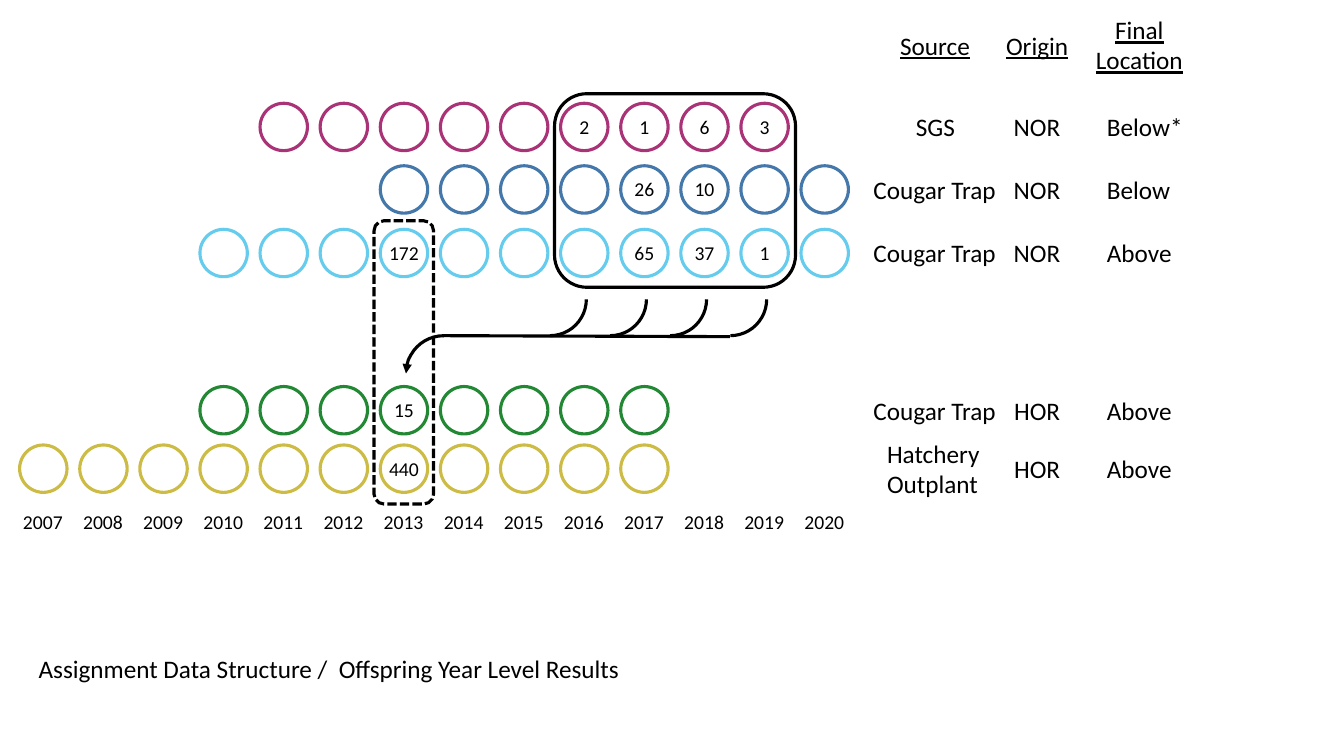
from lxml import etree
from pptx import Presentation, util as u
from pptx.dml.color import RGBColor
from pptx.enum import dml, shapes, text
from pptx.oxml.ns import qn

BLACK = RGBColor(0x00, 0x00, 0x00)
WHITE = RGBColor(0xFF, 0xFF, 0xFF)
PURPLE = RGBColor(0xAA, 0x33, 0x77)
BLUE = RGBColor(0x44, 0x77, 0xAA)
CYAN = RGBColor(0x66, 0xCC, 0xEE)
GREEN = RGBColor(0x22, 0x88, 0x33)
YELLOW = RGBColor(0xCC, 0xBB, 0x44)

# Content: row centre, colour, fill, years, counts by year, labels
FIRST_YEAR, LAST_YEAR = 2007, 2020
ROWS = [
    (1.26, PURPLE, None, (2011, 2019), {2016: "2", 2017: "1", 2018: "6", 2019: "3"},
     ("SGS", "NOR", "Below*")),
    (1.88, BLUE, WHITE, (2013, 2020), {2017: "26", 2018: "10"},
     ("Cougar Trap", "NOR", "Below")),
    (2.51, CYAN, WHITE, (2010, 2020), {2013: "172", 2017: "65", 2018: "37", 2019: "1"},
     ("Cougar Trap", "NOR", "Above")),
    (4.07, GREEN, WHITE, (2010, 2017), {2013: "15"},
     ("Cougar Trap", "HOR", "Above")),
    (4.65, YELLOW, None, (2007, 2017), {2013: "440"},
     ("Hatchery Outplant", "HOR", "Above")),
]
HEADERS = [("Source", 9.28, 0.9), ("Origin", 10.29, 0.82), ("Final\nLocation", 11.3, 1.07)]
LABEL_WIDTHS = {"SGS": 0.59, "Cougar Trap": 1.43, "Hatchery Outplant": 1.16, "NOR": 0.67,
                "HOR": 0.66, "Below*": 0.96, "Below": 0.84, "Above": 0.85}
COUNT_WIDTHS = {1: 0.3, 2: 0.4, 3: 0.5}
CAPTION = "Assignment Data Structure /  Offspring Year Level Results"

# Grid, in inches
FIRST_CENTER, LAST_CENTER = 0.43, 8.18
PITCH = (LAST_CENTER - FIRST_CENTER) / (LAST_YEAR - FIRST_YEAR)
CIRCLE = 0.47
HEADER_Y, YEAR_Y, CAPTION_Y = 0.45, 5.18, 6.63
LOCATION_LEFT = 10.88
ARC = 0.72
JOIN_Y = 3.33


def year_x(year):
    return FIRST_CENTER + (year - FIRST_YEAR) * PITCH


def box(x, y, width, height):
    return [u.Inches(value) for value in (x, y, width, height)]


def add_text(slide, content, x, y, width, size=18, underline=False, wrap=False,
             align=text.PP_ALIGN.LEFT):
    """Place text with its box centred on x, y."""
    two_lines = wrap or "\n" in content
    height = 0.71 if two_lines else 0.4 if size == 18 else 0.34
    shape = slide.shapes.add_textbox(*box(x - width / 2, y - height / 2, width, height))
    frame = shape.text_frame
    frame.word_wrap = wrap
    frame.auto_size = text.MSO_AUTO_SIZE.SHAPE_TO_FIT_TEXT
    frame.text = content
    for paragraph in frame.paragraphs:
        paragraph.alignment = align
        for run in paragraph.runs:
            run.font.name = "Calibri"
            run.font.size = u.Pt(size)
            run.font.color.rgb = BLACK
            run.font.underline = underline


def add_outline(parent, kind, x, y, width, height, color=BLACK, fill=None, rotation=0):
    shape = parent.shapes.add_shape(kind, *box(x, y, width, height))
    shape.shadow.inherit = False
    if fill is None:
        shape.fill.background()
    else:
        shape.fill.solid()
        shape.fill.fore_color.rgb = fill
    shape.line.color.rgb = color
    shape.line.width = u.Pt(2.25)
    shape.rotation = rotation
    return shape


def add_rows(slide):
    for y, color, fill, (first, last), counts, labels in ROWS:
        for year in range(first, last + 1):
            add_outline(slide, shapes.MSO_SHAPE.OVAL, year_x(year) - CIRCLE / 2,
                        y - CIRCLE / 2, CIRCLE, CIRCLE, color, fill)
        for year, count in counts.items():
            add_text(slide, count, year_x(year), y, COUNT_WIDTHS[len(count)], size=14,
                     align=text.PP_ALIGN.CENTER)
        for column, label in enumerate(labels):
            width = LABEL_WIDTHS[label]
            x = LOCATION_LEFT + width / 2 if column == 2 else HEADERS[column][1]
            add_text(slide, label, x, y, width, wrap=label == "Hatchery Outplant")


def add_arrow(slide):
    group = slide.shapes.add_group_shape()
    arc = shapes.MSO_SHAPE.ARC
    head_arc = add_outline(group, arc, year_x(2013) + 0.02, JOIN_Y, 0.75, 0.75, rotation=270)
    line_xml = head_arc.line._get_or_add_ln()
    etree.SubElement(line_xml, qn("a:headEnd"), type="triangle")
    for year in range(2016, 2020):
        add_outline(group, arc, year_x(year) + 0.02 - ARC, JOIN_Y - ARC, ARC, ARC, rotation=90)
    join = group.shapes.add_connector(shapes.MSO_CONNECTOR.STRAIGHT, u.Inches(4.39),
                                      u.Inches(JOIN_Y), u.Inches(7.24), u.Inches(JOIN_Y + 0.01))
    join.line.color.rgb = BLACK
    join.line.width = u.Pt(2.25)
    etree.SubElement(join._element.spPr, qn("a:effectLst"))


def main():
    presentation = Presentation()
    presentation.slide_width, presentation.slide_height = u.Inches(13.33), u.Inches(7.5)
    slide = presentation.slides.add_slide(presentation.slide_layouts[6])

    # Circles, counts and labels
    add_rows(slide)
    for header, x, width in HEADERS:
        add_text(slide, header, x, HEADER_Y, width, underline=True,
                 align=text.PP_ALIGN.CENTER if "\n" in header else text.PP_ALIGN.LEFT)

    # Year axis and caption
    for year in range(FIRST_YEAR, LAST_YEAR + 1):
        add_text(slide, str(year), year_x(year), YEAR_Y, 0.6, size=14)
    add_text(slide, CAPTION, 3.3, CAPTION_Y, 6.03)

    # Offspring frame, parent frame and the arrow between them
    rounded = shapes.MSO_SHAPE.ROUNDED_RECTANGLE
    add_outline(slide, rounded, 5.5, 0.93, 2.39, 1.92)
    parents = add_outline(slide, rounded, 3.71, 2.19, 0.59, 2.81)
    parents.line.dash_style = dml.MSO_LINE.SQUARE_DOT
    add_arrow(slide)

    presentation.save("out.pptx")


if __name__ == "__main__":
    main()
